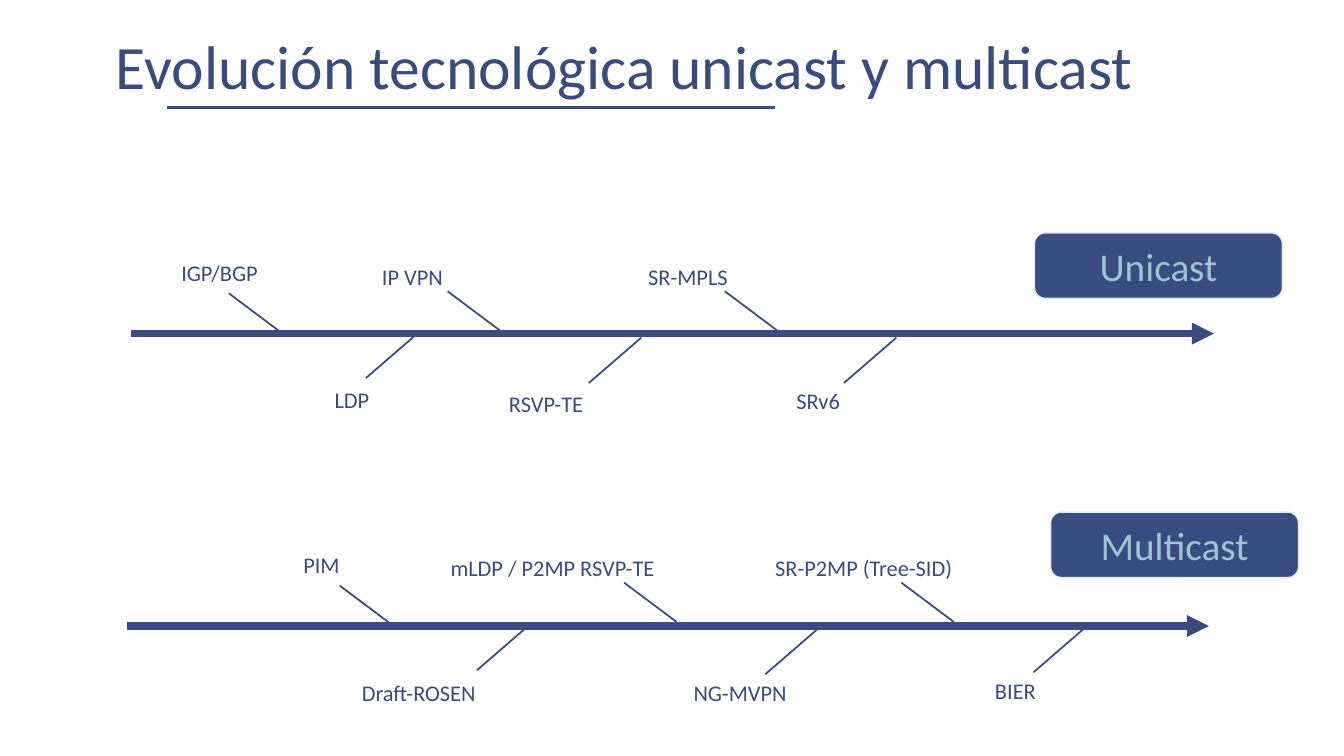
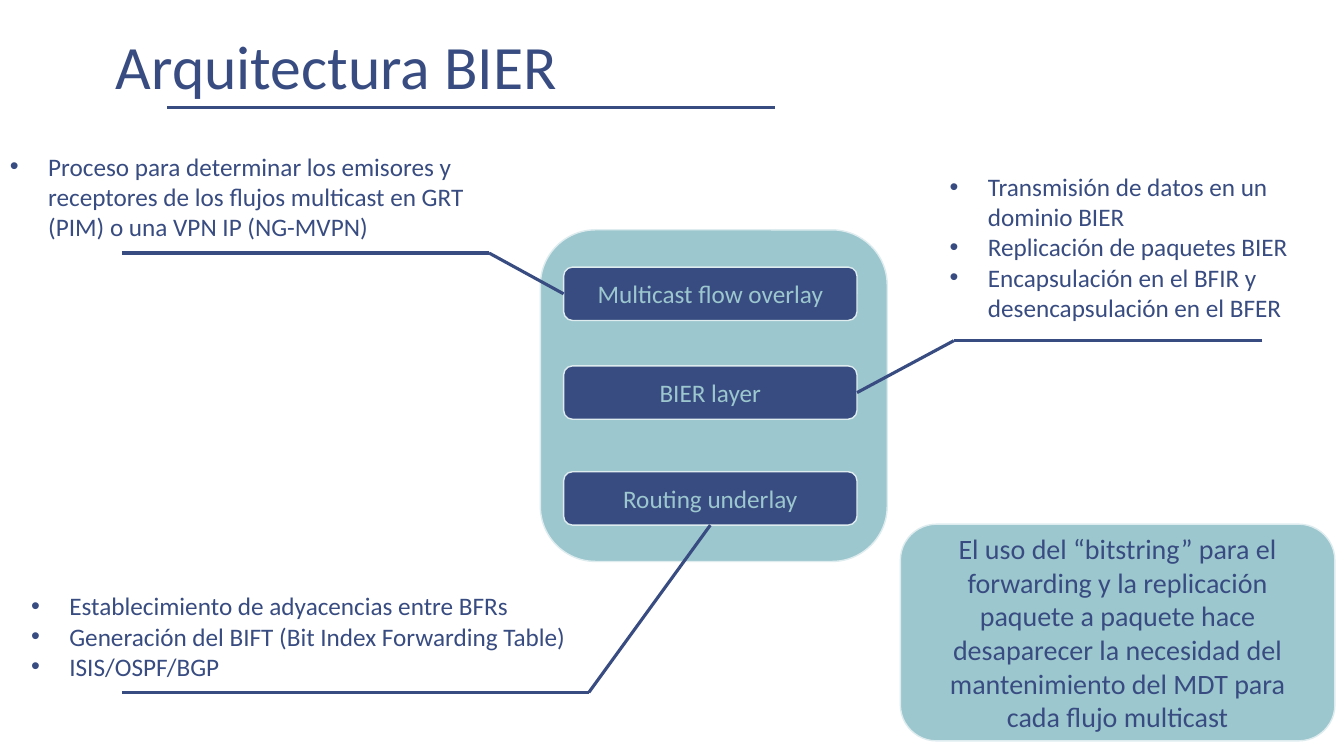
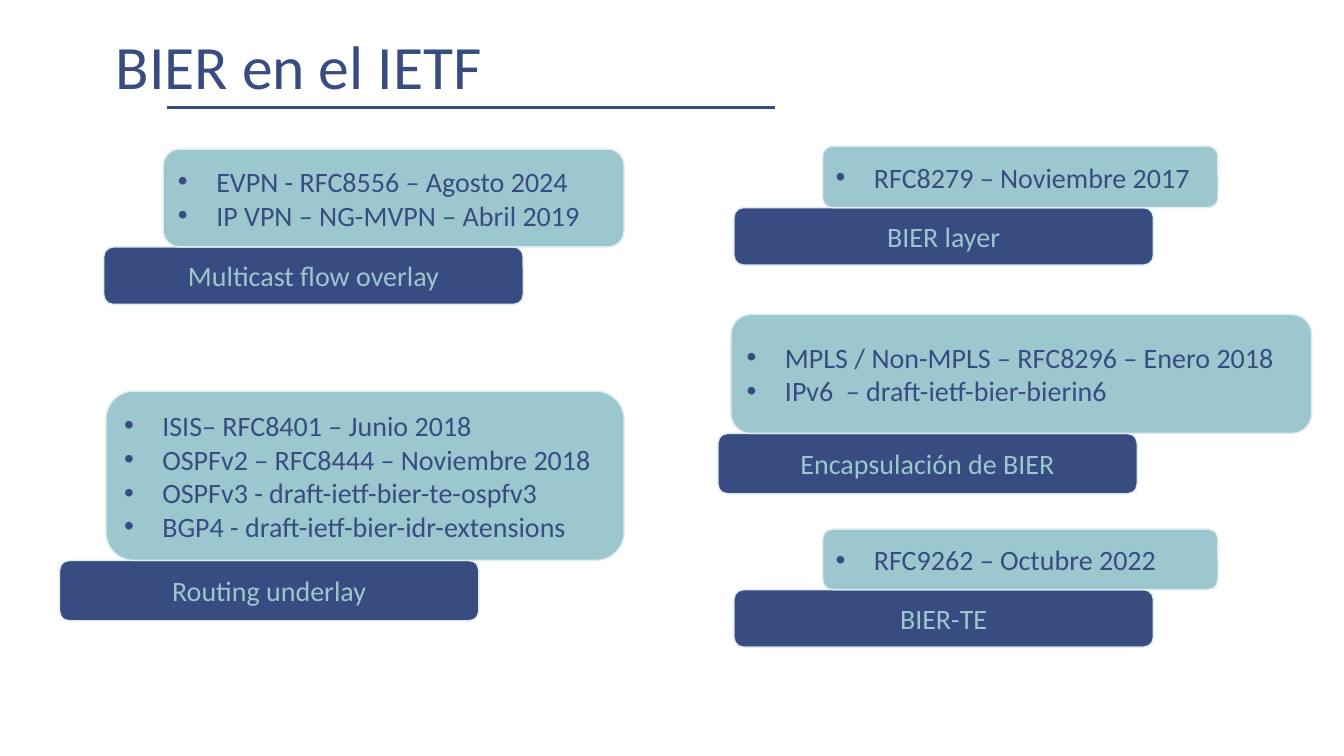
from pptx import Presentation
from pptx.dml.color import RGBColor
from pptx.enum.shapes import MSO_CONNECTOR, MSO_SHAPE
from pptx.enum.text import MSO_ANCHOR, PP_ALIGN
from pptx.oxml.ns import qn
from pptx.util import Emu, Pt
from lxml.etree import SubElement

NAVY, TEAL, PALE = "384C81", "9CC7CE", "DEECEF"
FONT = "Calibri"
PX = 9144  # 100 px to the inch
INDENT = 38
TOP, LEFT, BOTTOM, RIGHT = range(4)


def px(n):
    return Emu(round(n * PX))


def rgb(value):
    return RGBColor.from_string(value)


# ---- shared parts ----

def add_bullet(p):
    pPr = p._p.get_or_add_pPr()
    pPr.set("marL", str(px(INDENT)))
    pPr.set("indent", str(-px(INDENT)))
    SubElement(pPr, qn("a:buFont")).set("typeface", "Arial")
    SubElement(pPr, qn("a:buChar")).set("char", "•")


def write(tf, lines, size, color, align=PP_ALIGN.LEFT, bullets=False):
    tf.word_wrap = True
    for i, line in enumerate(lines):
        p = tf.add_paragraph() if i else tf.paragraphs[0]
        p.alignment = align
        if bullets:
            add_bullet(p)
        r = p.add_run()
        r.text = line
        r.font.name, r.font.size = FONT, Pt(size)
        r.font.color.rgb = rgb(color)


def text_box(s, x, y, w, h, lines, size, bullets=False):
    sp = s.shapes.add_textbox(px(x), px(y), px(w), px(h))
    write(sp.text_frame, lines, size, NAVY, bullets=bullets)


def round_box(s, x, y, w, h, fill, lines=(), size=20, bullets=False):
    sp = s.shapes.add_shape(MSO_SHAPE.ROUNDED_RECTANGLE, px(x), px(y), px(w), px(h))
    sp.shadow.inherit = False
    sp.fill.solid()
    sp.fill.fore_color.rgb = rgb(fill)
    sp.line.color.rgb = rgb(PALE)
    sp.line.width = Pt(1)
    tf = sp.text_frame
    tf.vertical_anchor = MSO_ANCHOR.MIDDLE
    align = PP_ALIGN.LEFT if bullets else PP_ALIGN.CENTER
    write(tf, lines, size, TEAL if fill == NAVY else NAVY, align, bullets)
    return sp


def line(s, x1, y1, x2, y2, width=2.25, arrow=False):
    cx = s.shapes.add_connector(MSO_CONNECTOR.STRAIGHT, px(x1), px(y1), px(x2), px(y2))
    cx.line.color.rgb = rgb(NAVY)
    cx.line.width = Pt(width)
    if arrow:
        SubElement(cx.line._get_or_add_ln(), qn("a:tailEnd")).set("type", "triangle")
    SubElement(cx._element.spPr, qn("a:effectLst"))
    return cx


def titled_slide(prs, title):
    s = prs.slides.add_slide(prs.slide_layouts[6])
    text_box(s, 105, 23, 1086, 84, [title], 44)
    line(s, 166, 107, 769, 107)
    return s


# ---- slide 1: timelines ----

def timeline(s, x, y, length, name, badge, events):
    """Offsets of the badge and the events count from the start of the axis."""
    round_box(s, x + badge[0], y + badge[1], 246, 65, NAVY, [name], 28)
    line(s, x, y, x + length, y, 5.25, arrow=True)
    for label, joint_dx, joint_dy, label_dx, label_dy, label_w in events:
        rise = -39 if label_dy < 0 else 45
        jx, jy = x + joint_dx, y + joint_dy
        line(s, jx, jy, jx - 52, jy + rise, 1.25)
        text_box(s, x + label_dx, y + label_dy, label_w, 37, [label], 16)


def evolution_slide(prs):
    s = titled_slide(prs, "Evolución tecnológica unicast y multicast")
    timeline(s, 130, 331, 1074, "Unicast", (896, -100), [
        ("IGP/BGP", 149, -1, 40, -79, 114),
        ("LDP", 285, -1, 192, 47, 57),
        ("IP VPN", 366, -3, 239, -75, 114),
        ("RSVP-TE", 506, 4, 365, 51, 114),
        ("SR-MPLS", 641, -3, 503, -75, 102),
        ("SRv6", 759, 4, 650, 48, 71),
    ])
    timeline(s, 126, 621, 1073, "Multicast", (916, -113), [
        ("PIM", 263, -1, 165, -79, 114),
        ("Draft-ROSEN", 399, -1, 223, 48, 143),
        ("mLDP / P2MP RSVP-TE", 545, -4, 311, -76, 234),
        ("NG-MVPN", 685, 3, 552, 48, 131),
        ("SR-P2MP (Tree-SID)", 820, -4, 633, -76, 207),
        ("BIER", 951, 1, 851, 46, 131),
    ])


# ---- slide 2: layers and their callouts ----

def layer_stack(s, x, y, w, h):
    round_box(s, x, y, w, h, TEAL)
    layers = [("Multicast flow overlay", 37), ("BIER layer", 135), ("Routing underlay", 240)]
    return [round_box(s, x + 23, y + dy, 291, 53, NAVY, [name], 18)
            for name, dy in layers]


def callout(s, x, y, w, h, lines, rule, layer, side):
    """Bulleted text over a rule (far end, knee, y) that leads to one side of a layer."""
    far, knee, rule_y = rule
    text_box(s, x, y, w, h, lines, 18, bullets=True)
    line(s, far, rule_y, knee, rule_y)
    leader = line(s, knee, rule_y, knee, rule_y)
    leader.end_connect(layer, side)


def architecture_slide(prs):
    s = titled_slide(prs, "Arquitectura BIER")
    overlay, bier, underlay = layer_stack(s, 536, 228, 344, 329)
    callout(s, 0, 145, 485, 101, [
        "Proceso para determinar los emisores y receptores de los flujos "
        "multicast en GRT (PIM) o una VPN IP (NG-MVPN)",
    ], (121, 485, 251), overlay, LEFT)
    callout(s, 932, 165, 412, 162, [
        "Transmisión de datos en un dominio BIER",
        "Replicación de paquetes BIER",
        "Encapsulación en el BFIR y desencapsulación en el BFER",
    ], (1252, 946, 338), bier, RIGHT)
    callout(s, 21, 581, 563, 101, [
        "Establecimiento de adyacencias entre BFRs",
        "Generación del BIFT (Bit Index Forwarding Table)",
        "ISIS/OSPF/BGP",
    ], (121, 584, 687), underlay, BOTTOM)
    round_box(s, 893, 520, 431, 215, TEAL, [
        "El uso del “bitstring” para el forwarding y la replicación paquete a "
        "paquete hace desaparecer la necesidad del mantenimiento del MDT para "
        "cada flujo multicast",
    ])


# ---- slide 3: standards by topic ----

def topic(s, x, y, w, h, name, name_dx, name_h, items):
    """A card of documents standing on the name of its topic."""
    round_box(s, x + name_dx, y + h, 416, name_h, NAVY, [name])
    round_box(s, x, y, w, h, TEAL, items, bullets=True)


def standards_slide(prs):
    s = titled_slide(prs, "BIER en el IETF")
    topic(s, 162, 148, 457, 97, "Multicast flow overlay", -59, 57, [
        "EVPN - RFC8556 – Agosto 2024",
        "IP VPN – NG-MVPN – Abril 2019",
    ])
    topic(s, 105, 388, 514, 168, "Routing underlay", -46, 60, [
        "ISIS– RFC8401 – Junio 2018",
        "OSPFv2 – RFC8444 – Noviembre 2018",
        "OSPFv3 - draft-ietf-bier-te-ospfv3",
        "BGP4 - draft-ietf-bier-idr-extensions",
    ])
    topic(s, 816, 145, 392, 61, "BIER layer", -88, 57, ["RFC8279 – Noviembre 2017"])
    topic(s, 725, 312, 576, 118, "Encapsulación de BIER", -13, 60, [
        "MPLS / Non-MPLS – RFC8296 – Enero 2018",
        "IPv6  – draft-ietf-bier-bierin6",
    ])
    topic(s, 816, 525, 392, 60, "BIER-TE", -88, 57, ["RFC9262 – Octubre 2022"])


def main():
    prs = Presentation()
    prs.slide_width, prs.slide_height = px(1333), px(750)
    evolution_slide(prs)
    architecture_slide(prs)
    standards_slide(prs)
    prs.save("out.pptx")


if __name__ == "__main__":
    main()
